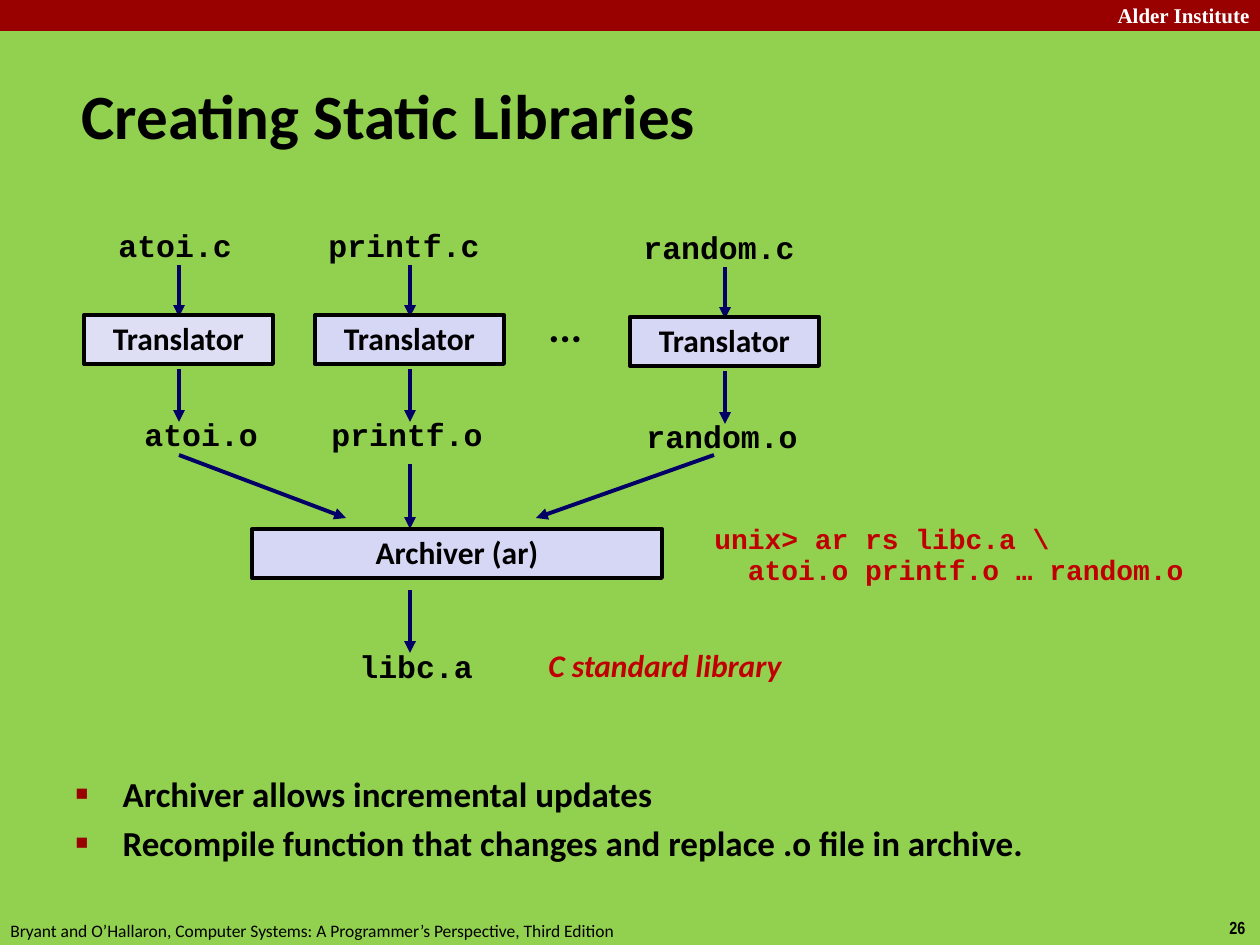
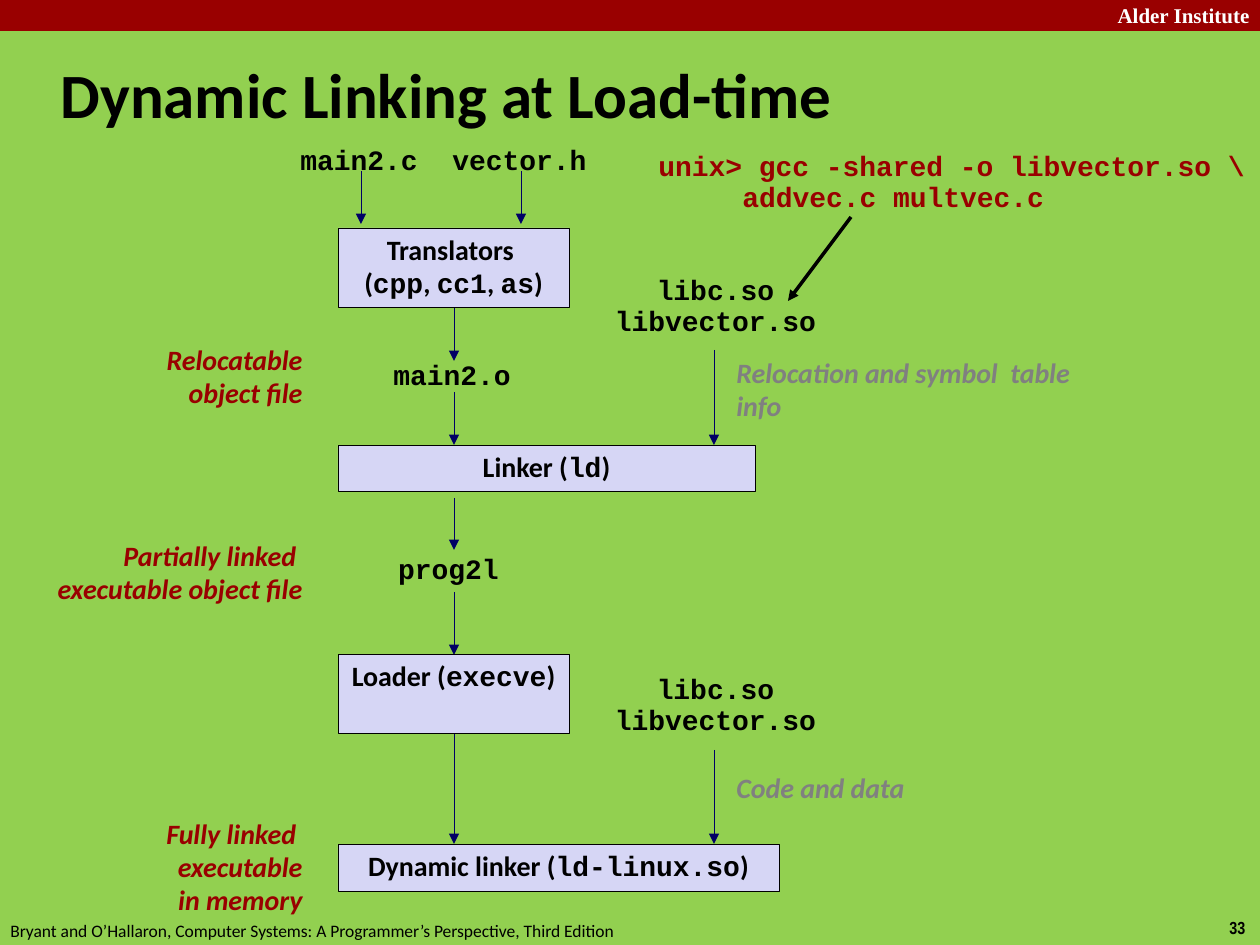
from dataclasses import dataclass, replace

from lxml import etree
from pptx import Presentation
from pptx.dml.color import RGBColor
from pptx.enum.shapes import MSO_CONNECTOR, MSO_SHAPE
from pptx.enum.text import MSO_ANCHOR, MSO_AUTO_SIZE, PP_ALIGN
from pptx.oxml.ns import qn
from pptx.util import Emu, Pt

STRAIGHT = MSO_CONNECTOR.STRAIGHT
RECT = MSO_SHAPE.RECTANGLE
LEFT, CENTER, RIGHT = PP_ALIGN.LEFT, PP_ALIGN.CENTER, PP_ALIGN.RIGHT
TOP, MIDDLE = MSO_ANCHOR.TOP, MSO_ANCHOR.MIDDLE
FIT, FIXED = MSO_AUTO_SIZE.SHAPE_TO_FIT_TEXT, MSO_AUTO_SIZE.NONE

GREEN = RGBColor(0x92, 0xD0, 0x50)
MAROON = RGBColor(0x99, 0x00, 0x00)
RED = RGBColor(0xC0, 0x00, 0x00)
NAVY = RGBColor(0x00, 0x00, 0x66)
LAVENDER = RGBColor(0xD6, 0xD6, 0xF5)
PALE = RGBColor(0xDE, 0xDF, 0xF5)
GRAY = RGBColor(0x80, 0x80, 0x80)
BLACK = RGBColor(0x00, 0x00, 0x00)
WHITE = RGBColor(0xFF, 0xFF, 0xFF)

SANS, MONO = "Calibri", "Courier New"
PX_PER_INCH = 126
THICK, HAIR = 2.25, 0.25


def px(n: float) -> Emu:
    return Emu(round(n * 914400 / PX_PER_INCH))


@dataclass(frozen=True)
class Style:
    size: float
    font: str = SANS
    color: RGBColor = BLACK
    bold: bool = True
    italic: bool = False
    align: PP_ALIGN = LEFT
    spacing: float = 0.98
    wrap: bool = True
    indent_chars: int = 0


@dataclass(frozen=True)
class Label:
    text: str
    x: int
    y: int
    w: int
    h: int
    style: Style


@dataclass(frozen=True)
class Box(Label):
    fill: RGBColor = LAVENDER
    line: float = HAIR


@dataclass(frozen=True)
class Arrow:
    x1: int
    y1: int
    x2: int
    y2: int
    width: float = HAIR
    color: RGBColor = NAVY


TITLE = Style(36)
BULLET = Style(20, spacing=1)
BRAND = Style(12, "Times New Roman", WHITE, align=RIGHT, spacing=1)
FOOTER = Style(10, bold=False, spacing=1, wrap=False)
PAGE = Style(10, "Arial Narrow", spacing=1, wrap=False)
BOX_18 = Style(18, align=CENTER)
BOX_16 = Style(16, align=CENTER)
FILE_18 = Style(18, MONO, spacing=0.94, wrap=False)
FILE_16 = replace(FILE_18, size=16, align=CENTER)
COMMAND = Style(16, MONO, RED, spacing=0.94, wrap=False, indent_chars=2)
DOTS = Style(24, wrap=False)
RESULT = Style(18, color=RED, italic=True)
STAGE = Style(16, color=MAROON, italic=True, align=RIGHT)
REMARK = Style(16, color=GRAY, italic=True)


def format_run(r, style: Style, font: str) -> None:
    r.font.name = font
    r.font.size = Pt(style.size)
    r.font.bold = style.bold
    r.font.italic = style.italic
    r.font.color.rgb = style.color


def write(tf, text: str, style: Style, anchor: MSO_ANCHOR = TOP) -> None:
    tf.text = text.replace("`", "")
    tf.word_wrap = style.wrap
    tf.auto_size = FIXED if style.wrap else FIT
    tf.vertical_anchor = anchor
    for i, (p, line) in enumerate(zip(tf.paragraphs, text.split("\n"))):
        p.alignment = style.align
        p.line_spacing = style.spacing
        if i and style.indent_chars:
            margin = Pt(0.6 * style.size * style.indent_chars)
            p._p.get_or_add_pPr().set("marL", str(margin))
        pieces = line.split("`")
        p.runs[0].text = pieces[0]
        for piece in pieces[1:]:
            p.add_run().text = piece
        for j, r in enumerate(p.runs):
            format_run(r, style, MONO if j % 2 else style.font)


def place(sp, x: int, y: int, w: int, h: int) -> None:
    sp.left, sp.top, sp.width, sp.height = px(x), px(y), px(w), px(h)


def add_label(s, label: Label) -> None:
    sp = s.shapes.add_textbox(px(label.x), px(label.y), px(label.w), px(label.h))
    write(sp.text_frame, label.text, label.style)


def add_rect(s, x: int, y: int, w: int, h: int, fill: RGBColor):
    sp = s.shapes.add_shape(RECT, px(x), px(y), px(w), px(h))
    sp.shadow.inherit = False
    sp.fill.solid()
    sp.fill.fore_color.rgb = fill
    return sp


def add_box(s, box: Box) -> None:
    sp = add_rect(s, box.x, box.y, box.w, box.h, box.fill)
    sp.line.color.rgb = BLACK
    sp.line.width = Pt(box.line)
    write(sp.text_frame, box.text, box.style)


def add_arrow(s, a: Arrow) -> None:
    c = s.shapes.add_connector(STRAIGHT, px(a.x1), px(a.y1), px(a.x2), px(a.y2))
    c.line.color.rgb = a.color
    c.line.width = Pt(a.width)
    etree.SubElement(c.line._get_or_add_ln(), qn("a:tailEnd"), type="triangle")
    etree.SubElement(c._element.spPr, qn("a:effectLst"))


def add_bullet(p) -> None:
    p.space_before = Pt(4)
    pPr = p._p.get_or_add_pPr()
    pPr.set("marL", str(px(47)))
    pPr.set("indent", str(-px(47)))
    color = etree.SubElement(pPr, qn("a:buClr"))
    etree.SubElement(color, qn("a:srgbClr"), val=str(MAROON))
    etree.SubElement(pPr, qn("a:buSzPct"), val="60000")
    etree.SubElement(pPr, qn("a:buChar"), char="■")


def add_list(s, lines: list[str], x: int, y: int, w: int, h: int) -> None:
    body = s.placeholders[1]
    place(body, x, y, w, h)
    write(body.text_frame, "\n".join(lines), BULLET)
    for p in body.text_frame.paragraphs:
        add_bullet(p)


def add_slide(prs, layout: int, title: str, x: int, y: int, page: int):
    s = prs.slides.add_slide(prs.slide_layouts[layout])
    add_rect(s, 0, 0, 1260, 31, MAROON).line.fill.background()
    add_label(s, Label("Alder Institute", 1082, -4, 180, 38, BRAND))
    add_label(s, Label(str(page), 1217, 911, 43, 34, PAGE))
    add_label(s, Label("Bryant and O’Hallaron, Computer Systems: "
                       "A Programmer’s Perspective, Third Edition",
                       -2, 914, 640, 34, FOOTER))
    place(s.shapes.title, x, y, 1201, 108)
    write(s.shapes.title.text_frame, title, TITLE, MIDDLE)
    return s


def add_diagram(s, items: list[Label | Arrow]) -> None:
    for item in items:
        if isinstance(item, Arrow):
            add_arrow(s, item)
        elif isinstance(item, Box):
            add_box(s, item)
        else:
            add_label(s, item)


def translator_column(name: str, x: int, y: int, source_x: int, object_x: int,
                      fill: RGBColor = LAVENDER) -> list[Label | Arrow]:
    middle = x + 95
    width = 32 + 19 * (len(name) + 2)
    return [
        Arrow(middle, y - 50, middle, y + 2, THICK),
        Box("Translator", x, y, 189, 49, BOX_18, fill, THICK),
        Label(name + ".c", source_x, y - 92, width, 49, FILE_18),
        Label(name + ".o", object_x, y + 97, width, 49, FILE_18),
        Arrow(middle, y + 54, middle, y + 107, THICK),
    ]


def static_libraries(prs) -> None:
    s = add_slide(prs, 1, "Creating Static Libraries", 69, 63, 26)
    add_diagram(s, [
        *translator_column("atoi", 84, 315, 106, 132, PALE),
        *translator_column("printf", 315, 315, 316, 319),
        *translator_column("random", 630, 317, 631, 634),
        Label("...", 536, 297, 60, 63, DOTS),
        Arrow(179, 455, 346, 518, THICK),
        Arrow(410, 464, 410, 529, THICK),
        Arrow(714, 455, 536, 518, THICK),
        Box("Archiver (ar)", 252, 529, 410, 49, BOX_18, line=THICK),
        Arrow(410, 590, 410, 653, THICK),
        Label("libc.a", 347, 644, 146, 49, FILE_18),
        Label("unix> ar rs libc.a \\\natoi.o printf.o … random.o",
              702, 518, 501, 77, COMMAND),
        Label("C standard library", 536, 642, 410, 50, RESULT),
    ])
    add_list(s, ["Archiver allows incremental updates",
                 "Recompile function that changes and replace .o file in archive."],
             63, 766, 1145, 147)


def dynamic_linking(prs) -> None:
    s = add_slide(prs, 5, "Dynamic Linking at Load-time", 48, 42, 33)
    box_x, main_x, lib_x = 338, 454, 714
    main_arrows = [(308, 361), (392, 445), (498, 550), (592, 655), (734, 844)]
    lib_arrows = [(350, 445), (750, 844)]
    stages = [("Relocatable\nobject file", 338),
              ("Partially linked \nexecutable object file", 534),
              ("Fully linked \nexecutable\nin memory", 812)]
    add_diagram(s, [
        *(Arrow(x, 171, x, 224) for x in (361, 521)),
        *(Arrow(main_x, a, main_x, b) for a, b in main_arrows),
        *(Arrow(lib_x, a, lib_x, b) for a, b in lib_arrows),
        Box("Translators \n(`cpp`, `cc1`, `as`)", box_x, 228, 231, 79, BOX_16),
        Box("Linker (`ld`)", box_x, 445, 417, 46, BOX_16),
        Box("Loader (`execve`)", box_x, 654, 231, 79, BOX_16),
        Box("Dynamic linker (`ld-linux.so`)", box_x, 844, 441, 47, BOX_16),
        Label("main2.c", 287, 139, 144, 45, FILE_16),
        Label("vector.h", 439, 139, 161, 45, FILE_16),
        Label("main2.o", 380, 354, 144, 45, FILE_16),
        Label("prog2l", 385, 548, 127, 45, FILE_16),
        *(Label("libc.so\nlibvector.so", 601, y, 229, 77, FILE_16)
          for y in (269, 668)),
        Label("Relocation and symbol  table info", 724, 351, 359, 79, REMARK),
        Label("Code and data", 724, 766, 244, 47, REMARK),
        *(Label(text, -32, y, 347, 79, STAGE) for text, y in stages),
        Label("unix> gcc -shared -o libvector.so \\\naddvec.c multvec.c",
              646, 145, 620, 77, replace(COMMAND, color=MAROON, indent_chars=5)),
        Arrow(851, 217, 788, 301, 2, BLACK),
    ])


def main() -> None:
    prs = Presentation()
    prs.slide_width, prs.slide_height = px(1260), px(945)
    background = prs.slide_master.background.fill
    background.solid()
    background.fore_color.rgb = GREEN
    static_libraries(prs)
    dynamic_linking(prs)
    prs.save("out.pptx")


main()
